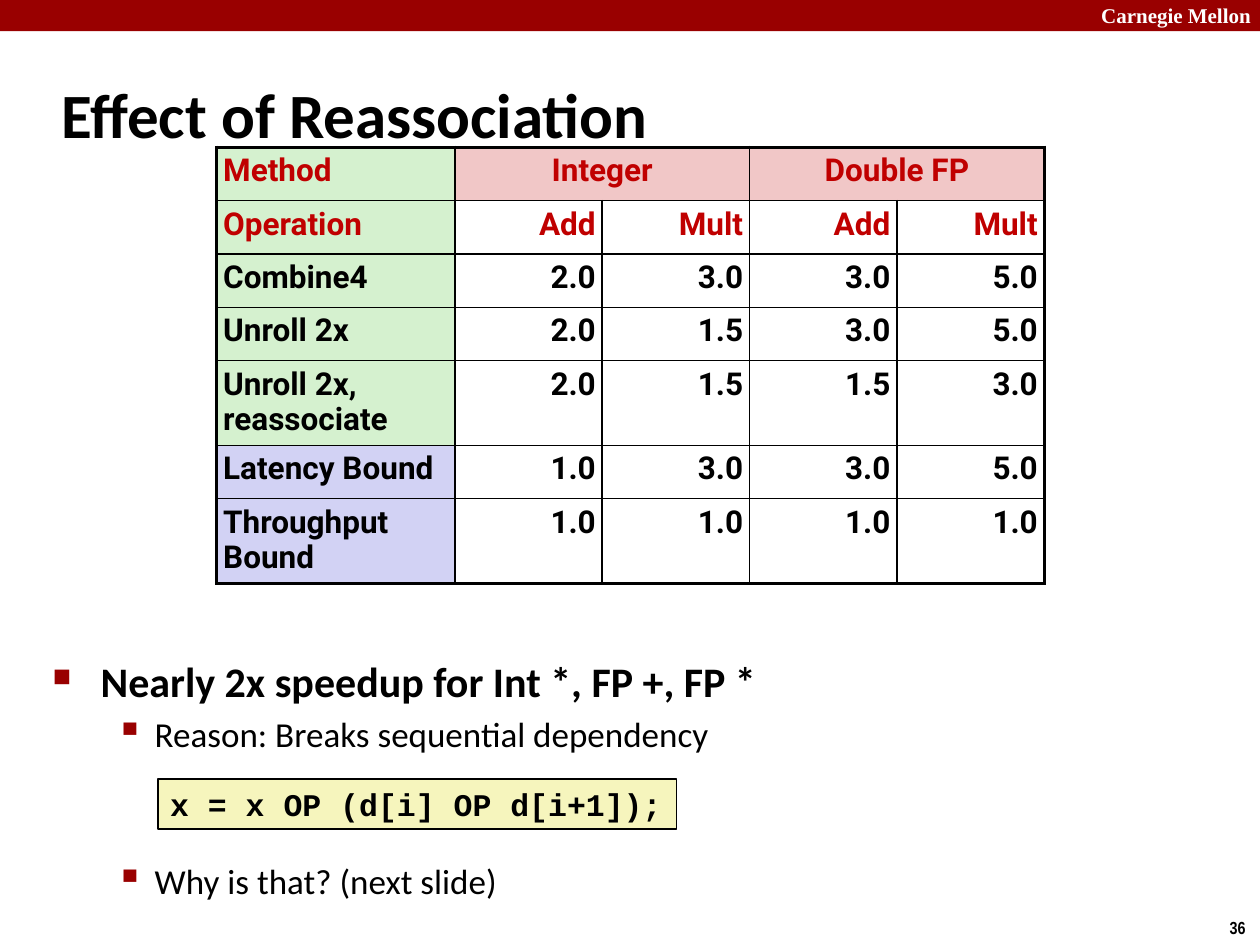
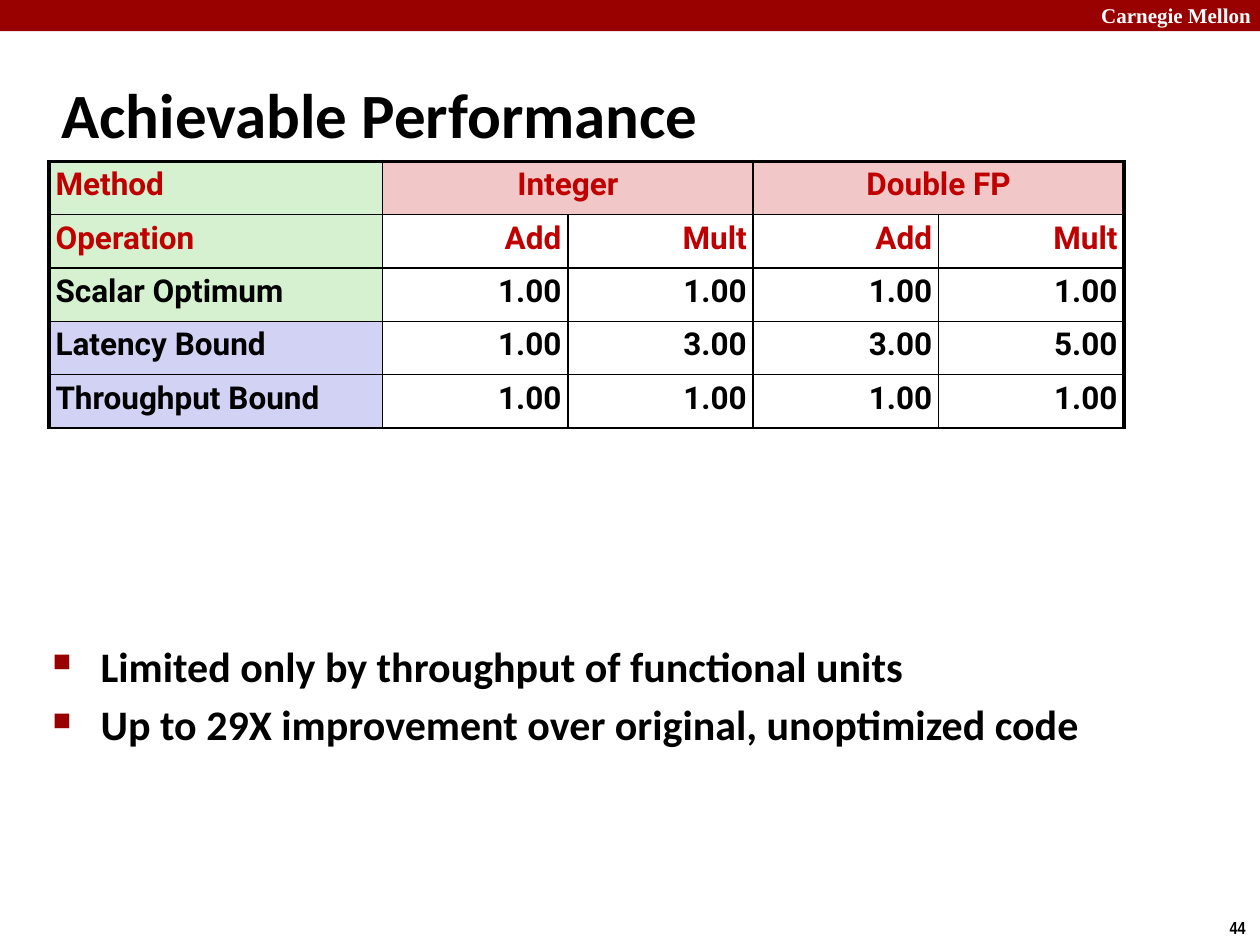
import dataclasses

import lxml.etree
import pptx
import pptx.dml.color
import pptx.enum.shapes
import pptx.enum.text
import pptx.oxml.ns
import pptx.util

Cm = pptx.util.Cm
Pt = pptx.util.Pt
ALIGN = pptx.enum.text.PP_ALIGN
RECTANGLE = pptx.enum.shapes.MSO_SHAPE.RECTANGLE


@dataclasses.dataclass(frozen=True)
class Style:
    font: str
    size: float
    color: str
    bold: bool = True


@dataclasses.dataclass(frozen=True)
class Bullet:
    style: Style
    char: str
    percent: int
    level: int
    margin: float
    hang: float
    space: float


@dataclasses.dataclass(frozen=True)
class Theme:
    black = "000000"
    white = "FFFFFF"
    band = "990000"
    code_fill = "F6F5BD"
    method_fill = "D5F1CF"
    bound_fill = "D2D2F4"
    group_fill = "F1C7C7"
    thin = 1
    thick = 2.25
    school = Style("Times New Roman", 12, white)
    number = Style("Arial Narrow", 10, black)
    title = Style("Calibri", 36, black)
    code = Style("Courier New", 18, black)
    table_head = Style("Roboto", 18, "C00000")
    table_body = Style("Roboto", 18, black)
    point = Bullet(Style("Calibri", 24, black), "■", 60, 0, 0.97, 0.97, 4.8)
    detail = Bullet(Style("Calibri", 20, black, False), "▪", 110, 1, 2.06, 0.79, 4)


@dataclasses.dataclass(frozen=True)
class Box:
    """A rectangle in centimetres."""
    left: float
    top: float
    width: float
    height: float

    def inner(self, left, top, width, height):
        return Box(self.left + left, self.top + top, width, height)

    def lengths(self):
        return [Cm(side) for side in (self.left, self.top, self.width, self.height)]


THEME = Theme()
PAGE = Box(0, 0, 25.4, 19.05)
TITLE = Box(0.99, 1.22, 21.08, 2.11)


def rgb(color):
    return pptx.dml.color.RGBColor.from_string(color)


def add_element(parent, tag, **attributes):
    return lxml.etree.SubElement(parent, pptx.oxml.ns.qn(tag), attributes)


def write(para, text, style):
    para.text = text
    for span in para.runs:
        span.font.name = style.font
        span.font.size = Pt(style.size)
        span.font.bold = style.bold
        span.font.color.rgb = rgb(style.color)


def add_text(page, box, text, style, wrap=True):
    frame = page.shapes.add_textbox(*box.lengths()).text_frame
    frame.word_wrap = wrap
    write(frame.paragraphs[0], text, style)
    return frame


def add_rectangle(page, box, fill):
    shape = page.shapes.add_shape(RECTANGLE, *box.lengths())
    shape.shadow.inherit = False
    shape.fill.solid()
    shape.fill.fore_color.rgb = rgb(fill)
    shape.line.fill.background()
    return shape


def add_page(deck, title, number):
    """Add a slide with the band, the title and the slide number."""
    page = deck.slides.add_slide(deck.slide_layouts[6])
    add_rectangle(page, PAGE.inner(0, 0, PAGE.width, 0.63), THEME.band)
    add_text(page, PAGE.inner(21.95, -0.08, 3.63, 0.76), "Carnegie Mellon", THEME.school)
    add_text(page, PAGE.inner(24.54, 18.36, 0.86, 0.69), str(number), THEME.number, wrap=False)
    frame = add_text(page, TITLE, title, THEME.title)
    frame.vertical_anchor = pptx.enum.text.MSO_ANCHOR.MIDDLE
    return page


def add_bullets(page, box, items):
    """Write (text, bullet, space before or None for the usual one) items."""
    frame = page.shapes.add_textbox(*box.lengths()).text_frame
    frame.word_wrap = True
    for index, (text, bullet, space) in enumerate(items):
        para = frame.add_paragraph() if index else frame.paragraphs[0]
        para.level = bullet.level
        properties = para._p.get_or_add_pPr()
        properties.set("marL", str(Cm(bullet.margin)))
        properties.set("indent", str(Cm(-bullet.hang)))
        add_element(add_element(properties, "a:buClr"), "a:srgbClr", val=THEME.band)
        add_element(properties, "a:buSzPct", val=str(bullet.percent * 1000))
        add_element(properties, "a:buChar", char=bullet.char)
        if index:
            para.space_before = Pt(bullet.space if space is None else space)
        write(para, text, bullet.style)


def add_code(page, box, code):
    shape = add_rectangle(page, box, THEME.code_fill)
    shape.line.color.rgb = rgb(THEME.black)
    shape.line.width = Pt(THEME.thin)
    frame = shape.text_frame
    frame.word_wrap = False
    write(frame.paragraphs[0], code, THEME.code)
    frame.paragraphs[0].alignment = ALIGN.LEFT


def set_borders(cell, widths):
    """Draw the left, right, top and bottom borders, given in points."""
    properties = cell._tc.get_or_add_tcPr()
    for side, width in zip("LRTB", widths):
        line = add_element(properties, f"a:ln{side}", w=str(Pt(width)))
        add_element(add_element(line, "a:solidFill"), "a:srgbClr", val=THEME.black)


def cell_fill(row, column, label):
    if column == 0:
        return THEME.bound_fill if label.endswith("Bound") else THEME.method_fill
    return THEME.group_fill if row == 0 else None


def add_performance_table(page, box, label_width, results, bottom):
    """Show one row of results per method under the two heading rows."""
    rows = [("Method", "Integer", "", "Double FP", ""),
            ("Operation", "Add", "Mult", "Add", "Mult"), *results]
    last_row, last_column = len(rows) - 1, len(rows[0]) - 1
    table = page.shapes.add_table(len(rows), len(rows[0]), *box.lengths()).table
    table.first_row = table.horz_banding = False
    for index, column in enumerate(table.columns):
        column.width = Cm((box.width - label_width) / last_column if index else label_width)
    for row in table.rows:
        row.height = Cm(box.height / len(rows))
    for start in (1, 3):
        table.cell(0, start).merge(table.cell(0, start + 1))

    for r, values in enumerate(rows):
        for c, value in enumerate(values):
            cell = table.cell(r, c)
            cell.margin_left = cell.margin_right = Cm(0.13)
            cell.margin_top = cell.margin_bottom = Cm(0.13)
            at_right = c + cell.span_width - 1 == last_column
            set_borders(cell, (THEME.thin if c else THEME.thick,
                               THEME.thick if at_right else THEME.thin,
                               THEME.thin if r else THEME.thick,
                               bottom if r == last_row else THEME.thin))
            fill = cell_fill(r, c, values[0])
            if fill:
                cell.fill.solid()
                cell.fill.fore_color.rgb = rgb(fill)
            else:
                cell.fill.background()
            if cell.is_spanned:
                continue
            para = cell.text_frame.paragraphs[0]
            write(para, value, THEME.table_head if r < 2 else THEME.table_body)
            para.line_spacing = 0.95
            if c:
                para.alignment = ALIGN.RIGHT if r else ALIGN.CENTER


def add_reassociation(deck):
    page = add_page(deck, "Effect of Reassociation", 36)
    body = Box(0.81, 13.08, 23.09, 4.83)
    add_bullets(page, body, [
        ("Nearly 2x speedup for Int *, FP +, FP *", THEME.point, None),
        ("Reason: Breaks sequential dependency", THEME.detail, None),
        ("Why is that? (next slide)", THEME.detail, 60),
    ])
    add_code(page, body.inner(2.37, 2.62, 10.46, 1.02), "x = x OP (d[i] OP d[i+1]);")
    add_performance_table(page, Box(4.37, 2.97, 16.68, 7.53), 4.8, [
        ("Combine4", "2.0", "3.0", "3.0", "5.0"),
        ("Unroll 2x", "2.0", "1.5", "3.0", "5.0"),
        ("Unroll 2x, reassociate", "2.0", "1.5", "1.5", "3.0"),
        ("Latency Bound", "1.0", "3.0", "3.0", "5.0"),
        ("Throughput Bound", "1.0", "1.0", "1.0", "1.0"),
    ], THEME.thick)


def add_achievable_performance(deck):
    page = add_page(deck, "Achievable Performance", 44)
    add_bullets(page, Box(0.81, 12.78, 23.09, 5.21), [
        ("Limited only by throughput of functional units", THEME.point, None),
        ("Up to 29X improvement over original, unoptimized code", THEME.point, None),
    ])
    add_performance_table(page, Box(0.99, 3.25, 21.67, 5.38), 6.72, [
        ("Scalar Optimum", "1.00", "1.00", "1.00", "1.00"),
        ("Latency Bound", "1.00", "3.00", "3.00", "5.00"),
        ("Throughput Bound", "1.00", "1.00", "1.00", "1.00"),
    ], THEME.thin)


def main():
    deck = pptx.Presentation()
    deck.slide_width = Cm(PAGE.width)
    deck.slide_height = Cm(PAGE.height)
    add_reassociation(deck)
    add_achievable_performance(deck)
    deck.save("out.pptx")


if __name__ == "__main__":
    main()
